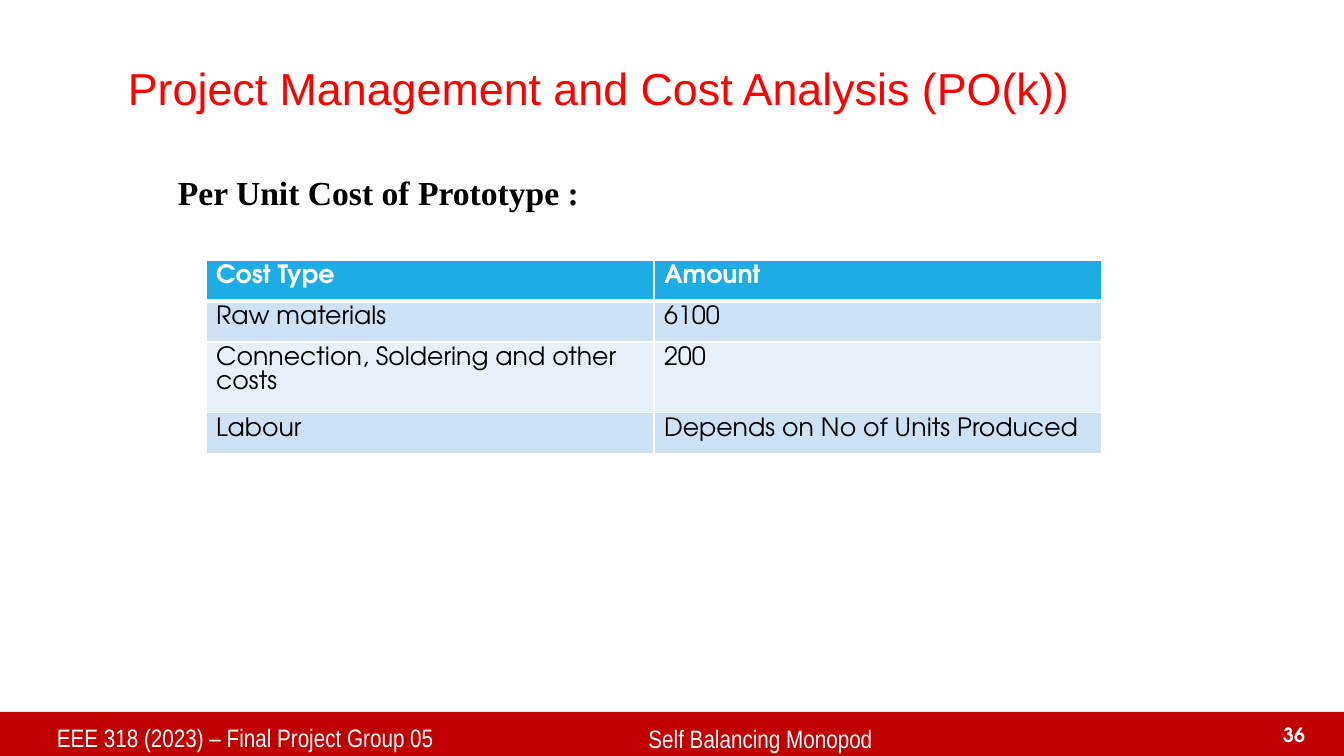
"""Build the project cost slide: heading, cost table and footer band."""
from dataclasses import dataclass

from lxml.etree import SubElement
from pptx import Presentation
from pptx.dml.color import RGBColor
from pptx.enum.shapes import MSO_SHAPE as Preset
from pptx.enum.text import MSO_ANCHOR as Anchor, PP_ALIGN as Align
from pptx.oxml.ns import qn
from pptx.slide import Slide
from pptx.table import _Cell as Cell
from pptx.util import Emu, Pt


@dataclass(frozen=True)
class Theme:
    white: str = "FFFFFF"
    black: str = "000000"
    title_red: str = "FF0000"
    band_red: str = "C00000"
    header_blue: str = "1CADE4"
    row_blues: tuple[str, str] = ("CDE3F5", "E8F1FA")
    title_size: int = 32
    heading_size: int = 24
    text_size: int = 18
    number_size: int = 14
    grid_line: int = 1
    header_line: int = 3
    title_font: str = "Arial"
    heading_font: str = "Times New Roman"
    footer_font: str = "Arial Narrow"
    table_font: str = "TeX Gyre Adventor"


@dataclass(frozen=True)
class Style:
    font: str
    size: int
    color: str
    bold: bool = False


@dataclass(frozen=True)
class Label:
    text: str
    box: tuple[int, int, int, int]
    style: Style
    align: Align = Align.LEFT
    anchor: Anchor = Anchor.TOP
    line_spacing: float = 1.0


THEME = Theme()
SLIDE_WIDTH, SLIDE_HEIGHT = 1344, 756
EMU_PER_PX = 12192000 / SLIDE_WIDTH
BAND_TOP = 712
TABLE_LEFT, TABLE_TOP = 206, 260
COLUMN_WIDTH, ROW_HEIGHT = 448, 41

FOOTER = Style(THEME.footer_font, THEME.text_size, THEME.white)
HEADER = Style(THEME.table_font, THEME.text_size, THEME.white, True)
ENTRY = Style(THEME.table_font, THEME.text_size, THEME.black)

LABELS = (
    Label("Project Management and Cost Analysis (PO(k))", (118, 50, 1109, 81),
          Style(THEME.title_font, THEME.title_size, THEME.title_red),
          anchor=Anchor.MIDDLE, line_spacing=0.9),
    Label("Per Unit Cost of Prototype :", (168, 164, 1059, 60),
          Style(THEME.heading_font, THEME.heading_size, THEME.black, True),
          line_spacing=1.07),
    Label("EEE 318 (2023) – Final Project Group 05", (47, 717, 437, 39), FOOTER),
    Label("Self Balancing Monopod", (485, 718, 551, 38), FOOTER, Align.CENTER),
    Label("36", (1258, 717, 57, 34),
          Style(THEME.table_font, THEME.number_size, THEME.white, True),
          Align.RIGHT, Anchor.BOTTOM),
)

COSTS = (
    ("Cost Type", "Amount"),
    ("Raw materials", "6100"),
    ("Connection, Soldering and other costs", "200"),
    ("Labour", "Depends on No of Units Produced"),
)


def px(length: int) -> Emu:
    """Turn px into EMU."""
    return Emu(round(length * EMU_PER_PX))


def write(paragraph, text: str, style: Style) -> None:
    """Put one styled run into a paragraph."""
    run = paragraph.add_run()
    run.text = text
    formats = {"name": style.font, "size": Pt(style.size), "bold": style.bold}
    for attribute, value in formats.items():
        setattr(run.font, attribute, value)
    run.font.color.rgb = RGBColor.from_string(style.color)


def add_label(slide: Slide, label: Label) -> None:
    """Add one text box."""
    frame = slide.shapes.add_textbox(*map(px, label.box)).text_frame
    frame.word_wrap = True
    frame.vertical_anchor = label.anchor
    paragraph = frame.paragraphs[0]
    paragraph.alignment = label.align
    paragraph.line_spacing = label.line_spacing
    write(paragraph, label.text, label.style)


def add_band(slide: Slide) -> None:
    """Add the footer band along the bottom edge."""
    band = slide.shapes.add_shape(
        Preset.RECTANGLE, 0, px(BAND_TOP), px(SLIDE_WIDTH), px(SLIDE_HEIGHT - BAND_TOP))
    band.shadow.inherit = False
    band.fill.solid()
    band.fill.fore_color.rgb = RGBColor.from_string(THEME.band_red)
    band.line.fill.background()


def paint_cell(cell: Cell, color: str, top: int, bottom: int) -> None:
    """Border a cell in white and fill it."""
    properties = cell._tc.get_or_add_tcPr()
    widths = {"lnL": THEME.grid_line, "lnR": THEME.grid_line, "lnT": top, "lnB": bottom}
    for side, width in widths.items():
        line = SubElement(properties, qn(f"a:{side}"), w=str(Pt(width)))
        SubElement(SubElement(line, qn("a:solidFill")), qn("a:srgbClr"), val=THEME.white)
    cell.fill.solid()
    cell.fill.fore_color.rgb = RGBColor.from_string(color)


def add_cost_table(slide: Slide) -> None:
    """Add the table of costs with its banded rows."""
    row_count, column_count = len(COSTS), len(COSTS[0])
    table = slide.shapes.add_table(
        row_count, column_count, px(TABLE_LEFT), px(TABLE_TOP),
        px(column_count * COLUMN_WIDTH), px(row_count * ROW_HEIGHT)).table
    for row, entries in enumerate(COSTS):
        color = THEME.row_blues[(row - 1) % 2] if row else THEME.header_blue
        top = THEME.header_line if row == 1 else THEME.grid_line
        bottom = THEME.grid_line if row else THEME.header_line
        for column, entry in enumerate(entries):
            cell = table.cell(row, column)
            write(cell.text_frame.paragraphs[0], entry, ENTRY if row else HEADER)
            paint_cell(cell, color, top, bottom)


def main() -> None:
    """Build and save the slide."""
    deck = Presentation()
    deck.slide_width, deck.slide_height = px(SLIDE_WIDTH), px(SLIDE_HEIGHT)
    slide = deck.slides.add_slide(deck.slide_layouts[6])
    add_band(slide)
    for label in LABELS:
        add_label(slide, label)
    add_cost_table(slide)
    deck.save("out.pptx")


if __name__ == "__main__":
    main()
